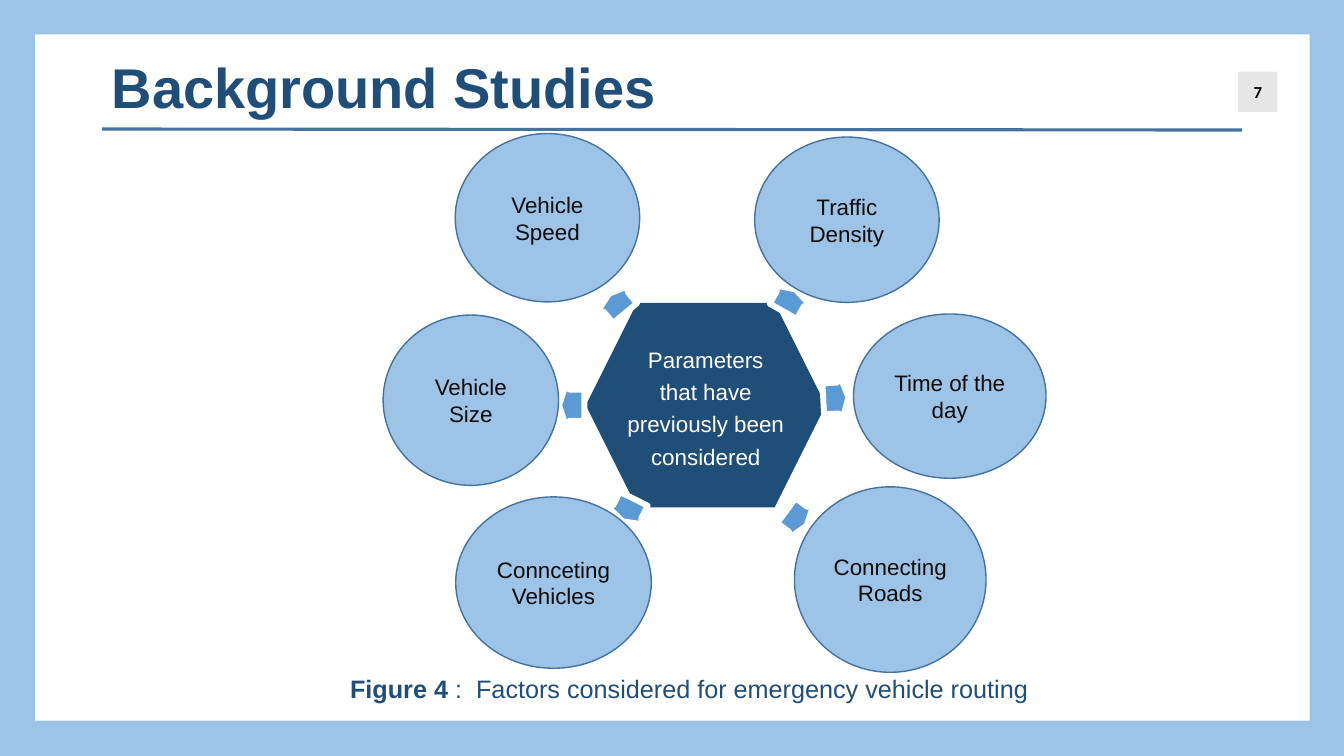
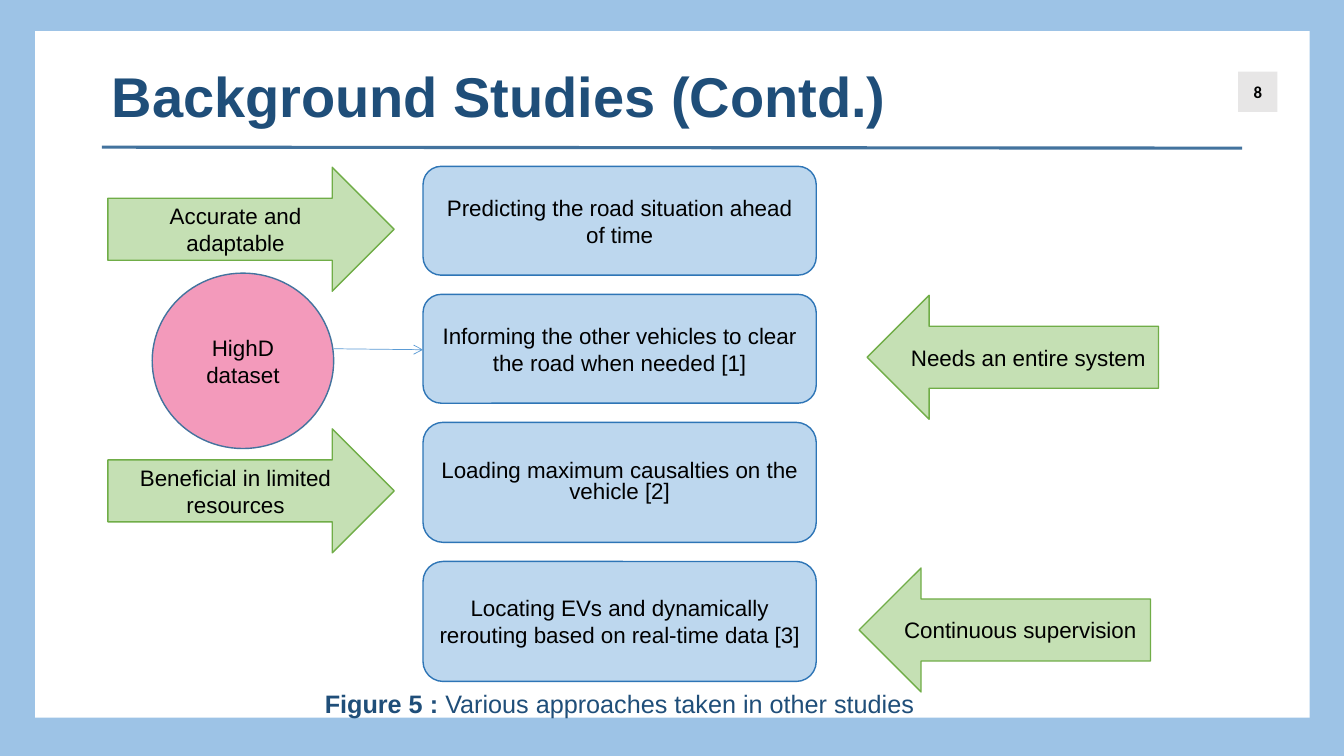
from collections import namedtuple

from lxml import etree
from pptx import Presentation
from pptx import util as u
from pptx.dml.color import RGBColor
from pptx.enum import shapes, text
from pptx.oxml.ns import qn

Box = namedtuple("Box", "left top width height")
Shape = shapes.MSO_SHAPE

SLIDE_WIDTH, SLIDE_HEIGHT = 13.33, 7.5
FONT, NUMBER_FONT = "Arial", "Calibri"

WHITE = RGBColor(0xFF, 0xFF, 0xFF)
BLACK = RGBColor(0x00, 0x00, 0x00)
INK = RGBColor(0x0D, 0x0D, 0x0D)
NAVY = RGBColor(0x1F, 0x4E, 0x79)
STEEL = RGBColor(0x43, 0x73, 0x9E)
SKY = RGBColor(0x9D, 0xC3, 0xE6)
BLUE = RGBColor(0x5B, 0x9B, 0xD5)
PALE_BLUE = RGBColor(0xBD, 0xD7, 0xEE)
STEP_EDGE = RGBColor(0x2E, 0x75, 0xB6)
PALE_GREEN = RGBColor(0xC5, 0xE0, 0xB4)
GREEN = RGBColor(0x70, 0xAD, 0x47)
PINK = RGBColor(0xF3, 0x9A, 0xBB)
GREY = RGBColor(0xE7, 0xE6, 0xE6)


# ---------- shared helpers ----------
def inches(box):
    return [u.Inches(value) for value in box]


def centred(x, y, width, height):
    return Box(x - width / 2, y - height / 2, width, height)


def style(paragraph, size, color, bold=False, font=FONT):
    paragraph.font.name = font
    paragraph.font.size = u.Pt(size)
    paragraph.font.bold = bold
    paragraph.font.color.rgb = color


def add_shape(slide, kind, box, fill, edge=None, edge_width=1):
    shape = slide.shapes.add_shape(kind, *inches(box))
    shape.shadow.inherit = False
    shape.fill.solid()
    shape.fill.fore_color.rgb = fill
    if edge is None:
        shape.line.fill.background()
    else:
        shape.line.color.rgb = edge
        shape.line.width = u.Pt(edge_width)
    return shape


def add_label(shape, label, color=BLACK, size=16, spacing=None, bold=False, font=FONT):
    frame = shape.text_frame
    frame.word_wrap = True
    frame.vertical_anchor = text.MSO_ANCHOR.MIDDLE
    frame.text = label
    for paragraph in frame.paragraphs:
        paragraph.alignment = text.PP_ALIGN.CENTER
        if spacing:
            paragraph.line_spacing = spacing
        style(paragraph, size, color, bold, font)


def add_line(slide, start, end, color, width, arrow=False):
    line = slide.shapes.add_connector(
        shapes.MSO_CONNECTOR.STRAIGHT, *inches(start + end))
    line.line.color.rgb = color
    line.line.width = u.Pt(width)
    properties = line._element.spPr
    if arrow:
        etree.SubElement(properties.find(qn("a:ln")), qn("a:tailEnd"), type="arrow")
    etree.SubElement(properties, qn("a:effectLst"))


# ---------- slide frame: panel, title, rule, page number ----------
def add_framed_slide(presentation, title, number, panel_top, title_top, rule_top):
    slide = presentation.slides.add_slide(presentation.slide_layouts[6])
    slide.background.fill.solid()
    slide.background.fill.fore_color.rgb = SKY
    add_shape(slide, Shape.RECTANGLE, Box(0.35, panel_top, 12.64, 6.81), WHITE)
    add_line(slide, (1.01, rule_top), (12.32, rule_top + 0.01), STEEL, 2.25)

    title_box = slide.shapes.add_textbox(*inches(Box(1.01, title_top, 10.48, 0.77)))
    title_box.text_frame.word_wrap = True
    title_box.text_frame.text = title
    style(title_box.text_frame.paragraphs[0], 40, NAVY, bold=True)

    badge = add_shape(slide, Shape.RECTANGLE, Box(12.28, 0.71, 0.39, 0.4), GREY)
    add_label(badge, str(number), size=12, bold=True, font=NUMBER_FONT)
    return slide


def add_caption(slide, box, figure, wording):
    caption = slide.shapes.add_textbox(*inches(box))
    caption.text_frame.word_wrap = True
    caption.text_frame.vertical_anchor = text.MSO_ANCHOR.MIDDLE
    paragraph = caption.text_frame.paragraphs[0]
    paragraph.alignment = text.PP_ALIGN.CENTER
    style(paragraph, 18, NAVY)
    for part, bold in ((figure, True), (wording, False)):
        run = paragraph.add_run()
        run.text = part
        run.font.bold = bold


# ---------- hub with its surrounding factors ----------
# Label, then offset from the hub's centre, width and height
FACTORS = [
    ("Vehicle\vSpeed", -1.57, -1.86, 1.83, 1.67),
    ("Traffic Density", 1.4, -1.84, 1.83, 1.64),
    ("Time of the day", 2.42, -0.09, 1.91, 1.63),
    ("Connecting Roads", 1.83, 1.73, 1.9, 1.84),
    ("Vehicle\nSize", -2.33, -0.05, 1.74, 1.69),
    ("Connceting\vVehicles", -1.51, 1.76, 1.94, 1.7),
]
# Rotation, then offset from the hub's centre
POINTERS = [
    (270, -1.33, 0),
    (29.4, 0.83, -1.04),
    (206.4, -0.77, 1.04),
    (320.4, -0.88, -1.01),
    (126.4, 0.9, 1.12),
    (87, 1.29, -0.07),
]


def add_factor_wheel(slide, box):
    x, y = box.left + box.width / 2, box.top + box.height / 2

    hub = add_shape(slide, Shape.HEXAGON, centred(x, y, 2.38, 2.03), NAVY)
    frame = hub.text_frame
    frame.margin_left = frame.margin_right = frame.margin_top = frame.margin_bottom = 0
    add_label(hub, "Parameters\nthat have previously been\vconsidered", WHITE, spacing=1.2)

    for rotation, across, down in POINTERS:
        pointer = add_shape(slide, Shape.UP_ARROW,
                            centred(x + across, y + down, 0.64, 0.25), BLUE, WHITE, 4.25)
        pointer.adjustments[0], pointer.adjustments[1] = 0.48, 0.42
        pointer.rotation = rotation

    for label, across, down, width, height in FACTORS:
        factor = add_shape(slide, Shape.OVAL,
                           centred(x + across, y + down, width, height), SKY, STEEL)
        add_label(factor, label, INK)


# ---------- stacked approaches with remarks on both sides ----------
# Label, row height, line spacing
APPROACHES = [
    ("Predicting the road situation ahead of time", 1.08, None),
    ("Informing the other vehicles to clear the road when needed [1]", 1.08, None),
    ("Loading maximum causalties on the vehicle [2]", 1.19, 0.8),
    ("Locating EVs and dynamically rerouting based on real-time data [3]", 1.19, None),
]
# Label, row, arrow kind, offset from the left of the region, width
REMARKS = [
    ("Accurate and adaptable", 0, Shape.RIGHT_ARROW, 0, 2.84),
    ("Beneficial in limited resources", 2, Shape.RIGHT_ARROW, 0, 2.84),
    ("Needs an entire system", 1, Shape.LEFT_ARROW, 7.53, 2.89),
    ("Continuous supervision", 3, Shape.LEFT_ARROW, 7.45, 2.89),
]


def add_approaches(slide, box):
    step_left, step_width = box.left + 0.3 * box.width, 3.9
    gap = (box.height - sum(row[1] for row in APPROACHES)) / (len(APPROACHES) - 1)

    # Approach boxes
    middles, top = [], box.top
    for label, height, spacing in APPROACHES:
        step = add_shape(slide, Shape.ROUNDED_RECTANGLE,
                         Box(step_left, top, step_width, height), PALE_BLUE, STEP_EDGE)
        add_label(step, label, spacing=spacing)
        middles.append(top + height / 2)
        top += height + gap

    # Remark arrows
    for label, row, kind, offset, width in REMARKS:
        place = Box(box.left + offset, middles[row] - 0.53, width, 1.23)
        add_label(add_shape(slide, kind, place, PALE_GREEN, GREEN), label)

    # Data set and its link to the second approach
    source = Box(box.left + 0.44, middles[1] - 0.75, 1.8, 1.74)
    add_label(add_shape(slide, Shape.OVAL, source, PINK, STEEL), "HighD dataset")
    add_line(slide, (source.left + source.width, middles[1]),
             (step_left, middles[1] + 0.01), BLUE, 0.5, arrow=True)


def main():
    presentation = Presentation()
    presentation.slide_width = u.Inches(SLIDE_WIDTH)
    presentation.slide_height = u.Inches(SLIDE_HEIGHT)

    slide = add_framed_slide(presentation, "Background Studies", 7, 0.34, 0.47, 1.28)
    add_factor_wheel(slide, Box(3.6, 1.34, 6.8, 5.36))
    add_caption(slide, Box(3.32, 6.63, 7.03, 0.4), "Figure 4 ",
                ":  Factors considered for emergency vehicle routing")

    slide = add_framed_slide(presentation, "Background Studies (Contd.)", 8, 0.31, 0.56, 1.46)
    add_approaches(slide, Box(1.07, 1.65, 10.42, 5.11))
    add_caption(slide, Box(2.63, 6.78, 7.03, 0.4), "Figure 5 :",
                " Various approaches taken in other studies")

    presentation.save("out.pptx")


if __name__ == "__main__":
    main()
